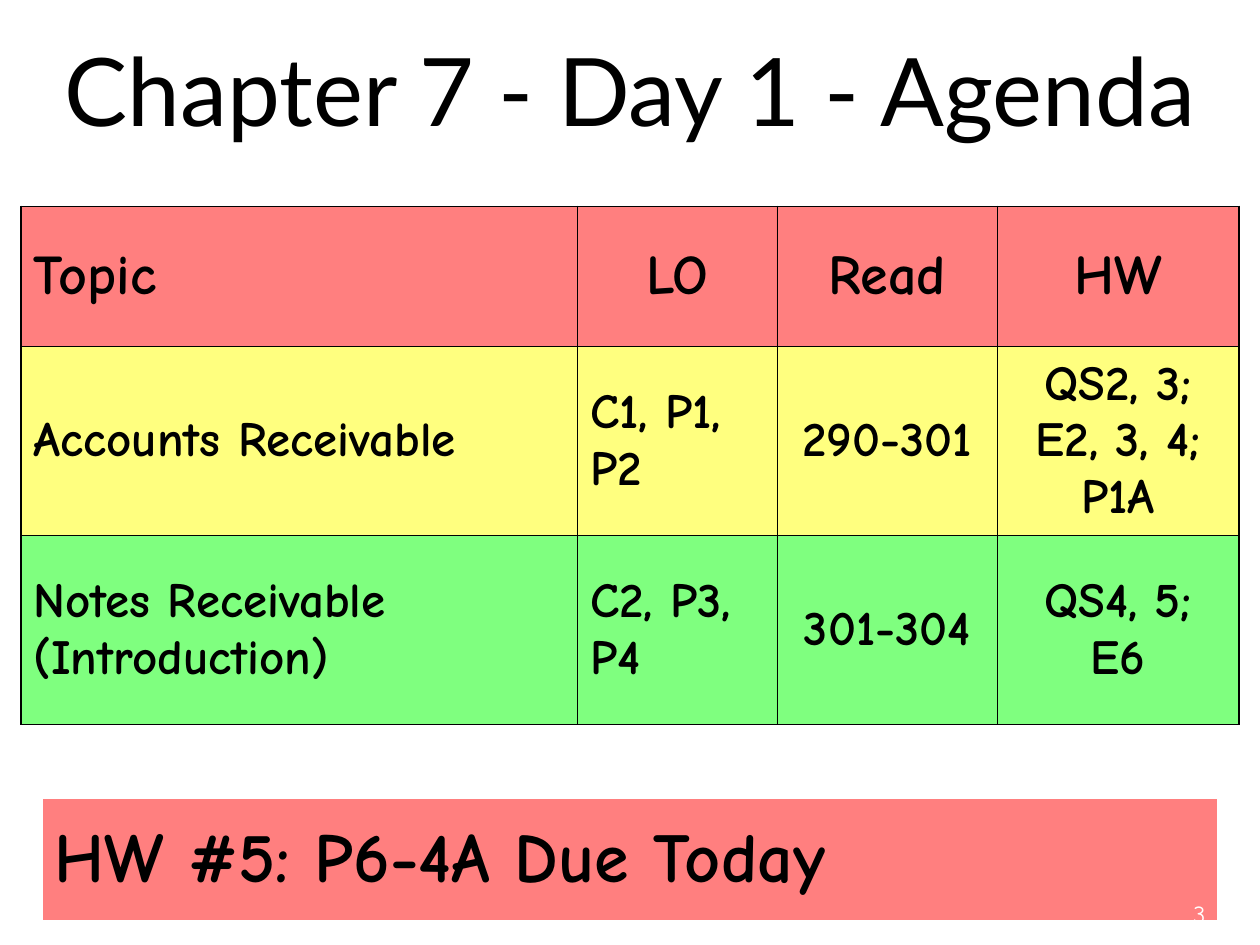
from dataclasses import dataclass

from lxml.etree import SubElement
from pptx import Presentation
from pptx.dml.color import RGBColor as RGB
from pptx.enum.text import MSO_ANCHOR as ANCHOR, PP_ALIGN as ALIGN
from pptx.oxml import parse_xml
from pptx.oxml.ns import nsdecls, qn
from pptx.util import Pt


@dataclass(frozen=True)
class Theme:
    title_font: str = "Lato"
    body_font: str = "Comic Neue"
    ink: str = "000000"
    white: str = "FFFFFF"
    red: str = "FF0000"
    yellow: str = "FFFF00"
    green: str = "00FF00"
    title: int = 54
    notice: int = 40
    header: int = 32
    body: int = 28
    number: int = 14
    opacity: int = 50
    outer_line: float = 1.08
    inner_line: float = 0.45


THEME = Theme()
COLUMNS = [318, 114, 126, 138]
ROW_HEIGHTS = [80, 108, 108]
ROW_COLOURS = [THEME.red, THEME.yellow, THEME.green]
AGENDA = [
    ["Topic", "LO", "Read", "HW"],
    ["Accounts Receivable", "C1, P1, P2", "290-301", "QS2, 3; E2, 3, 4; P1A"],
    ["Notes Receivable (Introduction)", "C2, P3, P4", "301-304", "QS4, 5; E6"],
]


def style_text(p, text, font, size, colour, align=ALIGN.LEFT, bold=False):
    p.text = text
    p.alignment = align
    p.font.name, p.font.size, p.font.bold = font, Pt(size), bold
    p.font.color.rgb = RGB.from_string(colour)


def fill_cell(cell, text, size, colour, align=ALIGN.LEFT):
    cell.vertical_anchor = ANCHOR.MIDDLE
    style_text(cell.text_frame.paragraphs[0], text, THEME.body_font, size,
               THEME.ink, align, bold=True)
    cell.fill.solid()
    cell.fill.fore_color.rgb = RGB.from_string(colour)
    # Half-transparent fill
    srgb = cell._tc.tcPr.find(f".//{qn('a:srgbClr')}")
    SubElement(srgb, qn("a:alpha"), val=str(THEME.opacity * 1000))


def border_cell(cell, outer_sides):
    """Border all sides, heavier on the table's outer edge."""
    for i, side in enumerate("LRTB"):
        width = THEME.outer_line if side in outer_sides else THEME.inner_line
        line = parse_xml(
            f'<a:ln{side} {nsdecls("a")} w="{Pt(width)}"><a:solidFill>'
            f'<a:srgbClr val="{THEME.ink}"/></a:solidFill></a:ln{side}>')
        cell._tc.tcPr.insert(i, line)


def plain_table(slide, box, rows, cols):
    table = slide.shapes.add_table(rows, cols, *map(Pt, box)).table
    table.first_row = table.horz_banding = False
    return table


def add_title(slide, box):
    sp = slide.shapes.title
    sp.left, sp.top, sp.width, sp.height = map(Pt, box)
    tf = sp.text_frame
    tf.word_wrap, tf.vertical_anchor = True, ANCHOR.TOP
    style_text(tf.paragraphs[0], "Chapter 7 - Day 1 - Agenda",
               THEME.title_font, THEME.title, THEME.ink, ALIGN.CENTER)


def add_agenda(slide, box):
    last_row, last_col = len(AGENDA) - 1, len(COLUMNS) - 1
    table = plain_table(slide, box, len(AGENDA), len(COLUMNS))
    for column, width in zip(table.columns, COLUMNS):
        column.width = Pt(width)
    for r, texts in enumerate(AGENDA):
        table.rows[r].height = Pt(ROW_HEIGHTS[r])
        size = THEME.body if r else THEME.header
        for c, text in enumerate(texts):
            # Topics and objectives read from the left; the rest is centred
            left = c == 0 or (c == 1 and r > 0)
            cell = table.cell(r, c)
            fill_cell(cell, text, size, ROW_COLOURS[r],
                      ALIGN.LEFT if left else ALIGN.CENTER)
            edges = {"L": c == 0, "R": c == last_col,
                     "T": r == 0, "B": r == last_row}
            border_cell(cell, [side for side, outer in edges.items() if outer])


def add_notice(slide, box):
    table = plain_table(slide, box, 1, 1)
    fill_cell(table.cell(0, 0), "HW #5: P6-4A Due Today", THEME.notice, THEME.red)


def add_page_number(slide, box):
    tf = slide.shapes.add_textbox(*map(Pt, box)).text_frame
    tf.word_wrap, tf.vertical_anchor = True, ANCHOR.BOTTOM
    style_text(tf.paragraphs[0], "3", THEME.body_font, THEME.number,
               THEME.white, ALIGN.RIGHT)


def main():
    prs = Presentation()
    prs.slide_width, prs.slide_height = Pt(720), Pt(540)
    slide = prs.slides.add_slide(prs.slide_layouts[5])
    add_agenda(slide, (12, 118, sum(COLUMNS), sum(ROW_HEIGHTS)))
    add_title(slide, (0, 14.4, 720, 72))
    add_notice(slide, (24, 456, 672, 70))
    add_page_number(slide, (546, 498, 150, 36))
    prs.save("out.pptx")


if __name__ == "__main__":
    main()
